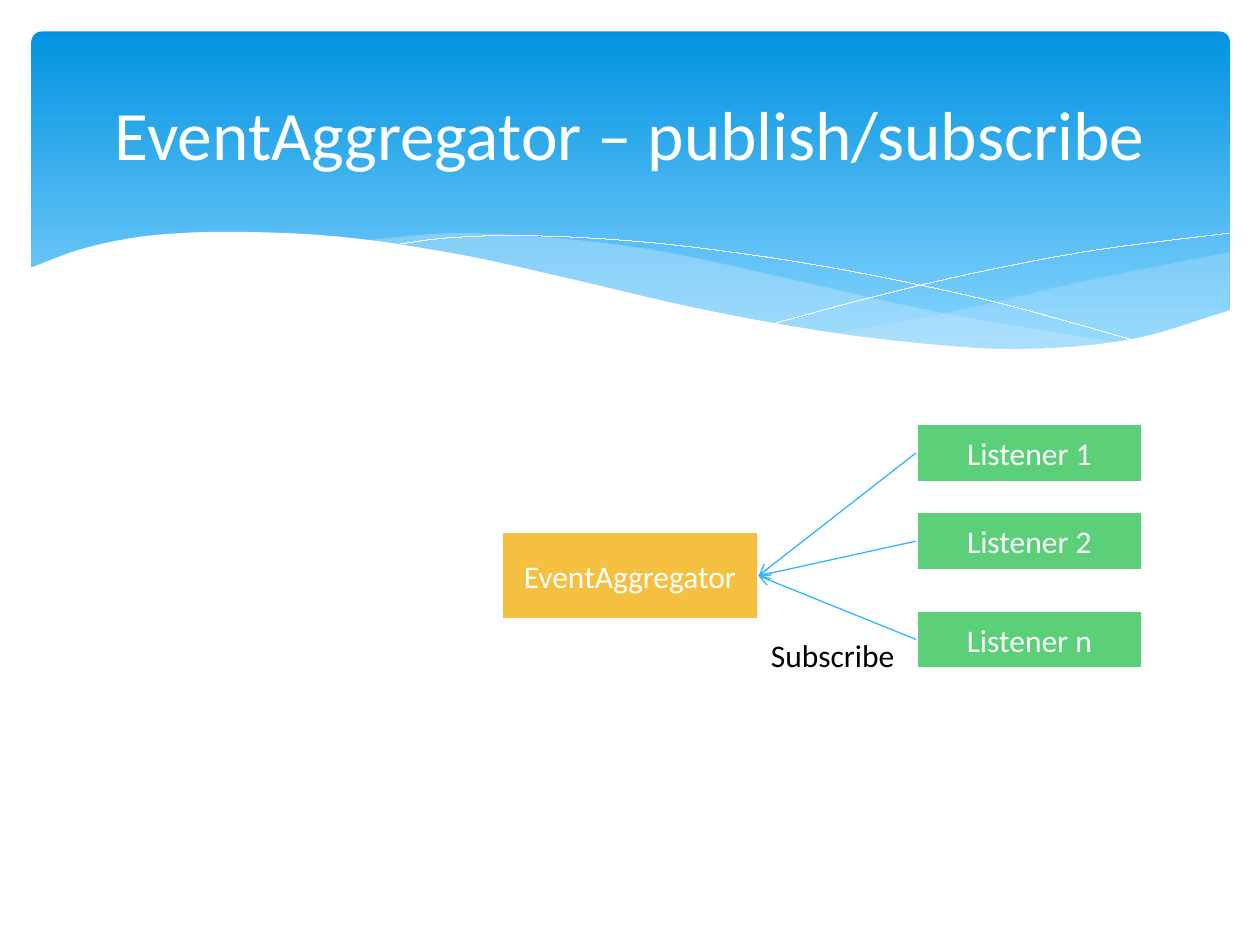
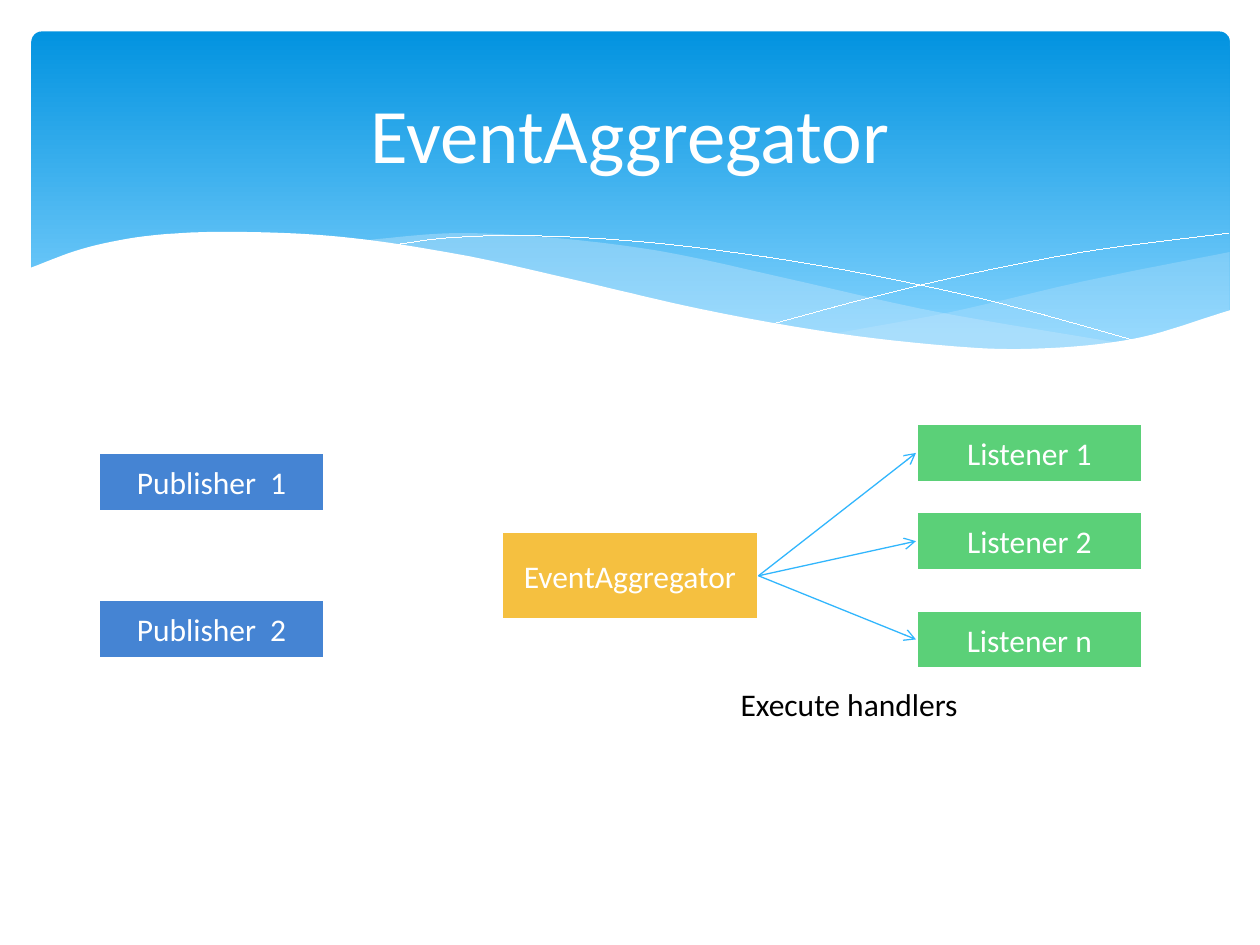
"""Build two slides on the EventAggregator publish/subscribe flow."""
from pptx import Presentation, util as u
from pptx.dml.color import RGBColor
from pptx.enum import shapes, text
from pptx.oxml.ns import qn
from lxml import etree

COLORS = {
    "white": "FFFFFF", "black": "000000", "band_top": "0293E0", "band_end": "83D3FE",
    "mist": "C6E7FC", "aggregator": "F5C040", "listener": "5BD078",
    "publisher": "4584D3", "arrow": "31B6FD",
}
RGB = {name: RGBColor.from_string(value) for name, value in COLORS.items()}
CENTERED = {"alignment": text.PP_ALIGN.CENTER}
MIDDLE = {"word_wrap": True, "vertical_anchor": text.MSO_ANCHOR.MIDDLE}
LOOSE = {"word_wrap": False, "auto_size": text.MSO_AUTO_SIZE.SHAPE_TO_FIT_TEXT}
UNITS_PER_INCH = 1000
STEPS = 10

FILLED_WAVES = [
    {"color": "mist", "opacity": 29,
     "top": [(6.61, 2.65), (7.53, 2.48), (8.61, 2.23), (9.76, 2)],
     "bottom": [(6.61, 2.65), (7.32, 2.74), (8.03, 2.78), (8.72, 2.74), (9.28, 2.63), (9.76, 2.47)]},
    {"color": "mist", "opacity": 40,
     "top": [(2.86, 1.91), (3.61, 1.85), (4.42, 1.89), (5.28, 2), (6.29, 2.22), (7.41, 2.47), (8.93, 2.73)],
     "bottom": [(2.86, 1.91), (4.49, 2.22), (5.66, 2.48), (6.65, 2.66), (7.48, 2.76), (8.18, 2.78), (8.93, 2.73)]},
]
WAVE_LINES = [
    [(3.09, 1.95), (3.53, 1.89), (4.16, 1.87), (5.1, 1.92), (6.08, 2.04), (6.95, 2.19), (7.95, 2.41), (9.07, 2.72)],
    [(6.13, 2.57), (6.95, 2.35), (7.76, 2.16), (8.66, 1.99), (9.75, 1.85)],
]
PAGE_WAVE = {
    "color": "white", "opacity": 100,
    "top": [(0.23, 2.13), (0.67, 1.97), (1.19, 1.87), (1.85, 1.84), (2.71, 1.88), (3.65, 2.02), (4.47, 2.2),
            (5.55, 2.45), (6.48, 2.62), (7.26, 2.72), (8.09, 2.77), (8.99, 2.69), (9.77, 2.46)],
    "bottom": [(0.23, 3.29), (9.77, 3.29)],
}
WAVES = [*FILLED_WAVES, *({"top": line, "bottom": []} for line in WAVE_LINES), PAGE_WAVE]

AGGREGATOR = ("EventAggregator", "aggregator", 3.98, 4.22, 2.04, 0.7)
LISTENERS = [(f"Listener {label}", "listener", 7.27, top, 1.8, 0.47)
             for label, top in (("1", 3.36), ("2", 4.06), ("n", 4.84))]
PUBLISHERS = [(f"Publisher  {label}", "publisher", 0.78, top, 1.8, 0.47)
              for label, top in (("1", 3.59), ("2", 4.76))]
PAGES = [
    {"title": "EventAggregator – publish/subscribe", "title_size": 39.6, "publishers": [],
     "to_aggregator": True, "note": "Subscribe", "note_at": (6.02, 5, 1.19, 0.4)},
    {"title": "EventAggregator", "title_size": 44, "publishers": PUBLISHERS,
     "to_aggregator": False, "note": "Execute handlers", "note_at": (5.78, 5.39, 1.94, 0.4)},
]


def smooth(anchors):
    """Return points of a Hermite curve through anchors that run from left to right."""
    slopes = []
    for index in range(len(anchors)):
        (x0, y0), *_, (x1, y1) = anchors[max(index - 1, 0):index + 2]
        slopes.append((y1 - y0) / (x1 - x0))
    curve = []
    for (x0, y0), (x1, y1), slope0, slope1 in zip(anchors, anchors[1:], slopes, slopes[1:]):
        width = x1 - x0
        for step in range(STEPS + 1):
            t = step / STEPS
            ease = t * t * (3 - 2 * t)
            bend = t * (1 - t) * ((1 - t) * slope0 - t * slope1)
            x, y = x0 + t * width, y0 + ease * (y1 - y0) + width * bend
            curve.append((round(x * UNITS_PER_INCH), round(y * UNITS_PER_INCH)))
    return curve


def write(box, words, size, color, frame_format, para_format):
    """Put one formatted line of text in a box."""
    para = box.text_frame.paragraphs[0]
    span = para.add_run()
    span.text = words
    span.font.color.rgb = RGB[color]
    font_format = {"name": "Calibri", "size": u.Pt(size)}
    for target, formats in ((box.text_frame, frame_format), (para, para_format), (span.font, font_format)):
        for name, value in formats.items():
            setattr(target, name, value)


deck = Presentation()
deck.slide_width, deck.slide_height = u.Inches(10), u.Inches(7.5)

for content in PAGES:
    page = deck.slides.add_slide(deck.slide_layouts[6])

    band = page.shapes.add_shape(shapes.MSO_SHAPE.ROUNDED_RECTANGLE, *map(u.Inches, (0.25, 0.25, 9.51, 2.7)))
    band.adjustments[0] = 0.03
    band.shadow.inherit = False
    band.line.fill.background()
    band.fill.gradient()
    band.fill.gradient_angle = 270
    for stop, position, color in zip(band.fill.gradient_stops, (0, 0.9), ("band_top", "band_end")):
        stop.position = position
        stop.color.rgb = RGB[color]

    for wave in WAVES:
        is_filled = bool(wave["bottom"])
        start, *others = smooth(wave["top"]) + smooth(wave["bottom"])[::-1]
        builder = page.shapes.build_freeform(*start, scale=u.Inches(1) / UNITS_PER_INCH)
        builder.add_line_segments(others, close=is_filled)
        outline = builder.convert_to_shape()
        outline.shadow.inherit = False
        if is_filled:
            outline.line.fill.background()
            outline.fill.solid()
            outline.fill.fore_color.rgb = RGB[wave["color"]]
            tint = next(outline.element.spPr.iter(qn("a:srgbClr")))
            etree.SubElement(tint, qn("a:alpha"), val=str(wave["opacity"] * 1000))
        else:
            outline.fill.background()
            outline.line.color.rgb = RGB["white"]
            outline.line.width = u.Emu(1)

    title = page.shapes.add_textbox(*map(u.Inches, (0.5, 0.37, 9, 1.37)))
    write(title, content["title"], content["title_size"], "white", MIDDLE, CENTERED)

    nodes = {}
    for words, color, *place in [AGGREGATOR, *LISTENERS, *content["publishers"]]:
        node = page.shapes.add_shape(shapes.MSO_SHAPE.RECTANGLE, *map(u.Inches, place))
        node.shadow.inherit = False
        node.fill.solid()
        node.fill.fore_color.rgb = RGB[color]
        node.line.color.rgb = RGB["white"]
        node.line.width = u.Pt(2)
        write(node, words, 18, "white", MIDDLE, CENTERED)
        nodes.setdefault(color, []).append(node)

    for listener in nodes["listener"]:
        ends = [(nodes["aggregator"][0], 3), (listener, 1)]
        if content["to_aggregator"]:
            ends.reverse()
        arrow = page.shapes.add_connector(shapes.MSO_CONNECTOR.STRAIGHT, 0, 0, 0, 0)
        arrow.begin_connect(*ends[0])
        arrow.end_connect(*ends[1])
        arrow.line.color.rgb = RGB["arrow"]
        arrow.line.width = u.Pt(0.75)
        etree.SubElement(arrow.element.spPr.find(qn("a:ln")), qn("a:tailEnd"), type="arrow")
        etree.SubElement(arrow.element.spPr, qn("a:effectLst"))

    note = page.shapes.add_textbox(*map(u.Inches, content["note_at"]))
    write(note, content["note"], 18, "black", LOOSE, {})

deck.save("out.pptx")
